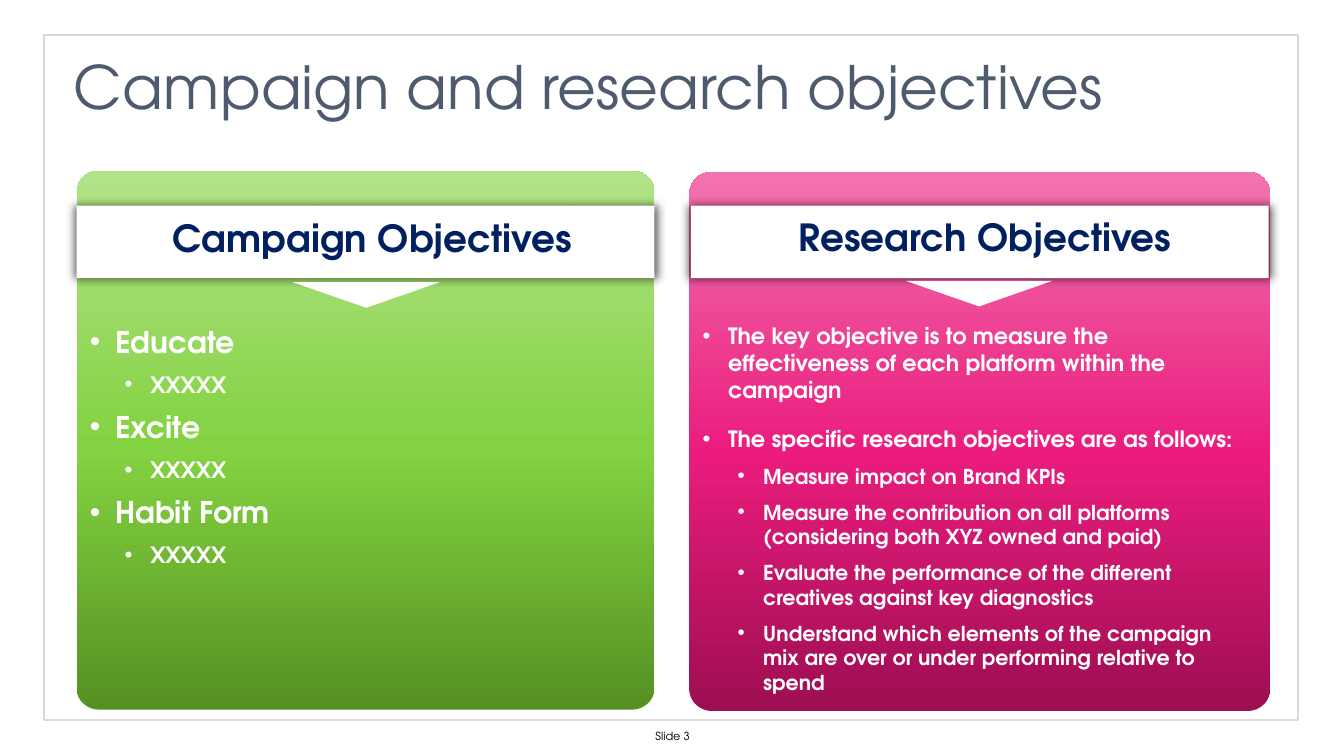
from copy import deepcopy
from dataclasses import dataclass

from lxml.etree import SubElement
from pptx import Presentation
from pptx.dml.color import RGBColor
from pptx.enum.shapes import MSO_SHAPE as Preset
from pptx.enum.text import MSO_ANCHOR as Anchor, PP_ALIGN as Align
from pptx.oxml.ns import qn
from pptx.util import Emu, Inches, Pt

FONT = "TeX Gyre Adventor"
WHITE = RGBColor(0xFF, 0xFF, 0xFF)
BLACK = RGBColor(0, 0, 0)
NAVY = RGBColor(0x00, 0x20, 0x60)
SLATE = RGBColor(0x4E, 0x5B, 0x6F)
FRAME_GREY = RGBColor(0xD9, 0xD9, 0xD9)
GREENS = (RGBColor(0x55, 0x91, 0x22), RGBColor(0x83, 0xD2, 0x41), RGBColor(0xB2, 0xE3, 0x89))
PINKS = (RGBColor(0x9D, 0x0E, 0x52), RGBColor(0xEB, 0x1C, 0x7E), RGBColor(0xF2, 0x73, 0xAF))


@dataclass
class Bullet:
    text: str
    size: int
    level: int = 0
    before: int = 0
    after: int = 0


@dataclass
class Panel:
    heading: str
    left: float
    width: float
    top: float
    banner_left: float
    heading_top: float
    list_height: float
    colours: tuple
    bullets: list


def goal(text: str) -> list:
    return [Bullet(text, 16, after=6), Bullet("XXXXX", 12, level=1, after=6)]


def research_step(text: str) -> Bullet:
    return Bullet(text, 11, level=1, before=6)


PANELS = [
    Panel("Campaign Objectives", 0.57, 4.3, 1.27, 0.57, 1.6, 2.29, GREENS,
          goal("Educate") + goal("Excite") + goal("Habit Form")),
    Panel("Research Objectives", 5.13, 4.32, 1.28, 5.14, 1.59, 2.71, PINKS, [
        Bullet("The key objective is to measure the effectiveness of each platform "
               "within the campaign", 12, before=6, after=6),
        Bullet("The specific research objectives are as follows:", 12, before=6),
        research_step("Measure impact on Brand KPIs"),
        research_step("Measure the contribution on all platforms "
                      "(considering both XYZ owned and paid)"),
        research_step("Evaluate the performance of the different creatives "
                      "against key diagnostics"),
        research_step("Understand which elements of the campaign mix are over or "
                      "under performing relative to spend"),
    ]),
]


def add_preset(shapes, preset, left: float, top: float, width: float, height: float, fill=None):
    shape = shapes.add_shape(preset, Inches(left), Inches(top), Inches(width), Inches(height))
    shape.shadow.inherit = False
    shape.line.fill.background()
    if fill is None:
        shape.fill.background()
    else:
        shape.fill.solid()
        shape.fill.fore_color.rgb = fill
    return shape


def add_text_frame(shapes, left: float, top: float, width: float, height: float,
                   inset=(0.1, 0.05), anchor=Anchor.TOP):
    box = shapes.add_textbox(Inches(left), Inches(top), Inches(width), Inches(height))
    frame = box.text_frame
    frame.word_wrap = True
    frame.vertical_anchor = anchor
    frame.margin_left = frame.margin_right = Inches(inset[0])
    frame.margin_top = frame.margin_bottom = Inches(inset[1])
    return frame


def write(paragraph, text: str, *, size: int, colour: RGBColor, bold=False, align=Align.LEFT):
    paragraph.alignment = align
    run = paragraph.add_run()
    run.text = text
    run.font.name = FONT
    run.font.size = Pt(size)
    run.font.bold = bold
    run.font.color.rgb = colour


def fill_upward(shape, colours: tuple) -> None:
    """Gradient from the bottom colour through the middle one to the top one."""
    shape.fill.gradient()
    shape.fill.gradient_angle = 90
    first = shape.fill.gradient_stops[0]._gs
    first.addnext(deepcopy(first))
    for stop, colour, position in zip(shape.fill.gradient_stops, colours, (0, 0.48, 1)):
        stop.color.rgb = colour
        stop.position = position


def add_glow_shadow(shape) -> None:
    """Even dark blur on all sides."""
    effects = shape._element.spPr.find(qn("a:effectLst"))
    shadow = SubElement(effects, qn("a:outerShdw"), blurRad=str(Pt(5)), dist="0", dir="0",
                        sx="101000", sy="101000", algn="ctr", rotWithShape="0")
    colour = SubElement(shadow, qn("a:srgbClr"), val=str(BLACK))
    SubElement(colour, qn("a:alpha"), val="60000")


def set_bullet(paragraph, level: int) -> None:
    paragraph.level = level
    properties = paragraph._p.get_or_add_pPr()
    properties.set("marL", str(Emu(Inches(0.45 if level else 0.19))))
    properties.set("indent", str(Emu(Inches(-0.19))))
    SubElement(properties, qn("a:buFont"), typeface="Arial")
    SubElement(properties, qn("a:buChar"), char="•")


def add_panel(slide, panel: Panel) -> None:
    shapes = slide.shapes.add_group_shape().shapes
    card = add_preset(shapes, Preset.ROUNDED_RECTANGLE, panel.left, panel.top, panel.width, 4.01)
    card.adjustments[0] = 0.041
    fill_upward(card, panel.colours)

    banner = add_preset(shapes, Preset.RECTANGLE, panel.banner_left, 1.53, 4.3, 0.54, WHITE)
    add_glow_shadow(banner)

    heading = add_text_frame(shapes, panel.left - 0.16, panel.heading_top, 4.72, 0.41,
                             inset=(0.13, 0.06)).paragraphs[0]
    heading.line_spacing = Pt(20)
    write(heading, panel.heading, size=20, colour=NAVY, bold=True, align=Align.CENTER)

    pointer = add_preset(shapes, Preset.ISOSCELES_TRIANGLE, panel.left + 1.61,
                         panel.heading_top + 0.5, 1.09, 0.19, WHITE)
    pointer.rotation = 180

    frame = add_text_frame(shapes, panel.left, panel.heading_top + 0.76, 4.3,
                           panel.list_height)
    frame.margin_right = Inches(0.13)
    for index, bullet in enumerate(panel.bullets):
        paragraph = frame.add_paragraph() if index else frame.paragraphs[0]
        paragraph.space_before = Pt(bullet.before)
        paragraph.space_after = Pt(bullet.after)
        write(paragraph, bullet.text, size=bullet.size, colour=WHITE, bold=True)
        set_bullet(paragraph, bullet.level)


def main() -> None:
    deck = Presentation()
    deck.slide_width = Inches(10)
    deck.slide_height = Inches(10 * 9 / 16)
    slide = deck.slides.add_slide(deck.slide_layouts[6])

    border = add_preset(slide.shapes, Preset.RECTANGLE, 0.33, 0.26, 9.33, 5.1)
    border.line.color.rgb = FRAME_GREY
    border.line.width = Pt(1)

    footer = add_text_frame(slide.shapes, 3.84, 5.39, 2.33, 0.17, anchor=Anchor.MIDDLE)
    write(footer.paragraphs[0], "Slide 3", size=6, colour=BLACK, align=Align.CENTER)

    for panel in PANELS:
        add_panel(slide, panel)

    title = add_text_frame(slide.shapes, 0.55, 0.37, 8.89, 0.52, inset=(0, 0))
    write(title.paragraphs[0], "Campaign and research objectives", size=32, colour=SLATE)

    deck.save("out.pptx")


if __name__ == "__main__":
    main()
